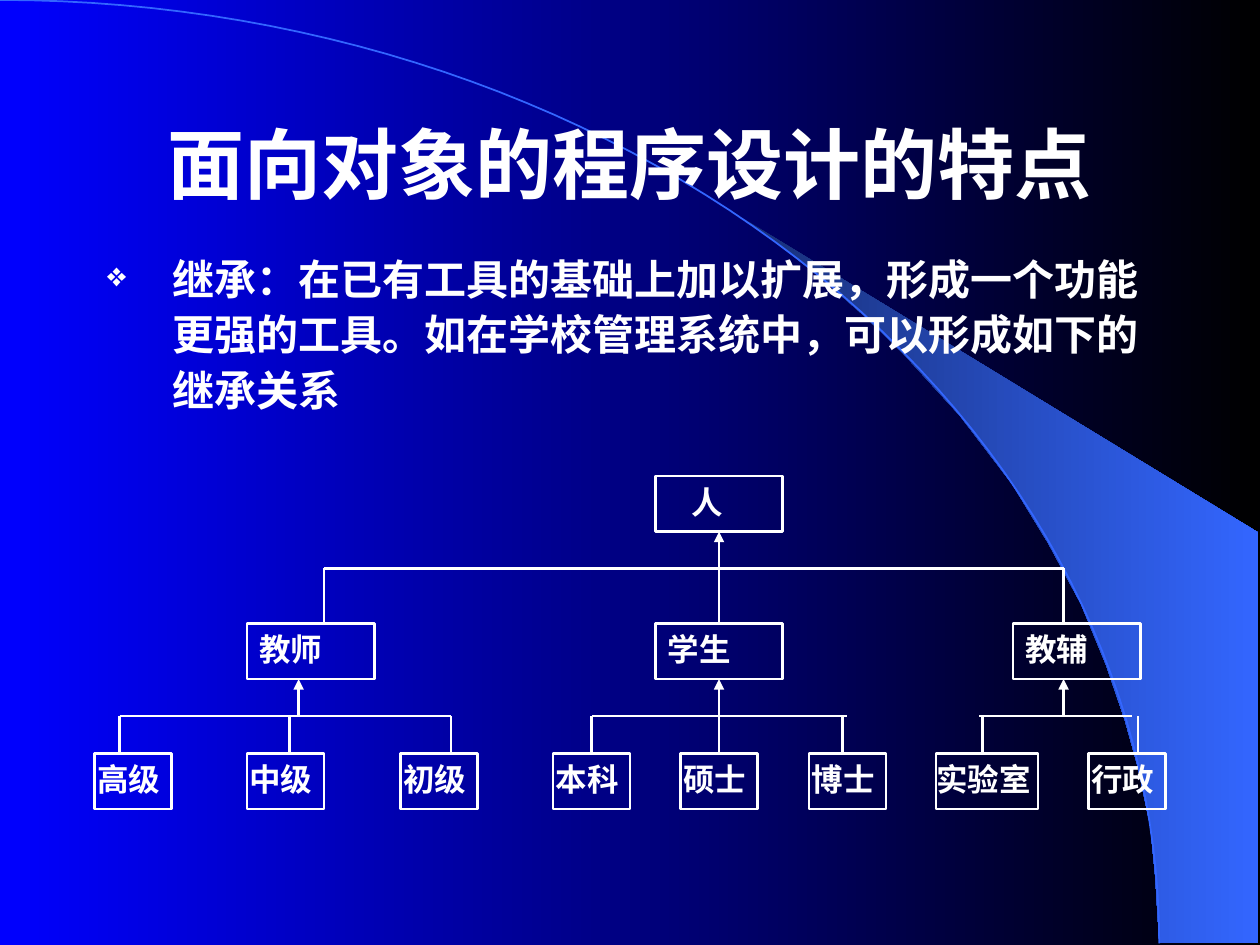
import math

import lxml.etree
import pptx
import pptx.dml.color
import pptx.enum.shapes
import pptx.enum.text
import pptx.oxml.ns
import pptx.util

Cm = pptx.util.Cm
Pt = pptx.util.Pt
RGB = pptx.dml.color.RGBColor
ALIGN = pptx.enum.text.PP_ALIGN
ANCHOR = pptx.enum.text.MSO_ANCHOR

WHITE = RGB(0xFF, 0xFF, 0xFF)
BLACK = RGB(0, 0, 0)
BLUE = RGB(0, 0, 0xFF)
SKY = RGB(0x33, 0x66, 0xFF)
NAVY = RGB(0x18, 0x2F, 0x76)

BOX_H = 1.12
WIDE, SLIM = 2.57, 1.55
TOP_Y, MID_Y, LOW_Y = 9.6, 12.57, 15.19
MID_RAIL, LOW_RAIL = 11.46, 14.43
SNAP = 0.06  # a line this near the middle of a side is joined to it

GLOW = [(23.37, 19), (25.37, 19.02), (25.37, 10.74), (14.96, 4.39),
        (15.85, 5.05), (16.59, 5.64), (17.4, 6.35), (18.19, 7.11),
        (19.35, 8.38), (20.4, 9.75), (21.13, 10.95), (21.79, 12.17),
        (22.3, 13.41), (22.68, 14.53), (22.94, 15.47), (23.19, 16.66),
        (23.29, 17.68)]
ARC_W, ARC_H, STEPS = 23.37, 19.02, 60

# parent name: (rail y, rail ends, arrow x, [(child, left, width, drop x)])
TREE = {
    "人": (MID_RAIL, (6.53, 21.44), 14.5, [
        ("教师", 4.98, WIDE, 6.53),
        ("学生", 13.21, WIDE, 14.55),
        ("教辅", 20.42, WIDE, 21.44)]),
    "教师": (LOW_RAIL, (2.41, 9.09), 6.02, [
        ("高级", 1.91, SLIM, 2.41),
        ("中级", 4.98, SLIM, 5.84),
        ("初级", 8.08, SLIM, 9.09)]),
    "学生": (LOW_RAIL, (11.94, 17.07), 14.45, [
        ("本科", 11.15, SLIM, 11.89),
        ("硕士", 13.72, SLIM, 14.5),
        ("博士", 16.31, SLIM, 16.99)]),
    "教辅": (LOW_RAIL, (19.74, 22.81), 21.44, [
        ("实验室", 18.87, 2.06, 19.81),
        ("行政", 21.95, SLIM, 22.94)]),
}


def add_tag(parent, name, **attrs):
    tag = lxml.etree.SubElement(parent, pptx.oxml.ns.qn(name))
    for key, value in attrs.items():
        tag.set(key, str(value))
    return tag


def blend(fill, start, end):
    """Fill from left to right with two colours."""
    fill.gradient()
    fill.gradient_angle = 0
    for stop, color in zip(fill.gradient_stops, (start, end)):
        stop.color.rgb = color


def write(frame, text, size=18, font="Times New Roman", align=ALIGN.JUSTIFY,
          anchor=ANCHOR.TOP, pad=0.25, left=0, first=0, lead=None,
          before=None, bullet=None):
    """Put one bold white paragraph in a text frame; lengths are in cm."""
    frame.word_wrap = True
    frame.vertical_anchor = anchor
    frame.margin_left = frame.margin_right = Cm(pad)
    frame.margin_top = frame.margin_bottom = Cm(0.13)
    para = frame.paragraphs[0]
    para.alignment = align
    if lead:
        para.line_spacing = lead
    if before:
        para.space_before = Pt(before)
    props = para._p.get_or_add_pPr()
    props.set("marL", str(Cm(left)))
    props.set("indent", str(Cm(first)))
    if bullet:
        add_tag(add_tag(props, "a:buClr"), "a:srgbClr", val=WHITE)
        add_tag(props, "a:buSzPct", val=80000)
        add_tag(props, "a:buChar", char=bullet)
    run = para.add_run()
    run.text = text
    run.font.size = Pt(size)
    run.font.name = font
    run.font.bold = True
    run.font.color.rgb = WHITE


class Deck:
    def __init__(self):
        self.prs = pptx.Presentation()
        self.prs.slide_width = Cm(25.4)
        self.prs.slide_height = Cm(19.05)
        self.slide = self.prs.slides.add_slide(self.prs.slide_layouts[6])
        self.shapes = self.slide.shapes
        self.color = WHITE
        self.weight = Pt(1.5)

    def ground(self, start, end):
        blend(self.slide.background.fill, start, end)

    def path_of(self, points, close):
        (x, y), *rest = [(Cm(a), Cm(b)) for a, b in points]
        pen = self.shapes.build_freeform(x, y)
        pen.add_line_segments(rest, close=close)
        shape = pen.convert_to_shape()
        shape.shadow.inherit = False
        return shape

    def area(self, points, start, end):
        shape = self.path_of(points, True)
        blend(shape.fill, start, end)
        shape.line.fill.background()

    def curve(self, points, color):
        shape = self.path_of(points, False)
        shape.fill.background()
        shape.line.color.rgb = color
        shape.line.width = Pt(1)

    def label(self, x, y, w, h, text, **style):
        box = self.shapes.add_textbox(Cm(x), Cm(y), Cm(w), Cm(h))
        write(box.text_frame, text, **style)

    def box(self, x, y, w, text, **style):
        kind = pptx.enum.shapes.MSO_SHAPE.RECTANGLE
        shape = self.shapes.add_shape(kind, Cm(x), Cm(y), Cm(w), Cm(BOX_H))
        shape.shadow.inherit = False
        shape.fill.background()
        shape.line.color.rgb = self.color
        shape.line.width = self.weight
        write(shape.text_frame, text, **style)
        return shape

    def line(self, x1, y1, x2, y2, arrow=False):
        kind = pptx.enum.shapes.MSO_CONNECTOR.STRAIGHT
        link = self.shapes.add_connector(kind, Cm(x1), Cm(y1), Cm(x2), Cm(y2))
        link.line.color.rgb = self.color
        link.line.width = self.weight
        if arrow:
            add_tag(link.line._get_or_add_ln(), "a:tailEnd", type="triangle")
        add_tag(link._element.spPr, "a:effectLst")
        return link

    def stem(self, x, rail, box, side, arrow=False):
        """Run upright from a rail to the top (0) or bottom (2) of a box."""
        mid = (box.left + box.width / 2) / Cm(1)
        near = abs(mid - x) <= SNAP
        x = mid if near else x
        edge = (box.top + (box.height if side == 2 else 0)) / Cm(1)
        link = self.line(x, rail, x, edge, arrow)
        if near:
            link.end_connect(box, side)


def main():
    deck = Deck()
    deck.ground(BLUE, BLACK)
    deck.area(GLOW, NAVY, SKY)
    turns = [math.pi / 2 * i / STEPS for i in range(STEPS + 1)]
    deck.curve([(ARC_W * math.sin(t), ARC_H * (1 - math.cos(t)))
                for t in turns], SKY)

    deck.label(1.91, 1.7, 21.59, 3.18, "面向对象的程序设计的特点", size=44,
               font="Arial", align=ALIGN.CENTER, anchor=ANCHOR.MIDDLE)
    deck.label(1.91, 4.88, 21.59, 4.09,
               "继承：在已有工具的基础上加以扩展，形成一个功能更强的工具。"
               "如在学校管理系统中，可以形成如下的继承关系",
               size=24, align=ALIGN.LEFT, left=1.32, first=-1.32,
               lead=1.1, before=6, bullet="❖")

    boxes = {"人": deck.box(13.21, TOP_Y, WIDE, "人", left=0.48)}
    for rail, _, _, kids in TREE.values():
        y = MID_Y if rail == MID_RAIL else LOW_Y
        for name, x, w, _ in kids:
            pad = {WIDE: 0.25, SLIM: 0.05}.get(w, 0)
            boxes[name] = deck.box(x, y, w, name, pad=pad)

    for name, (rail, ends, tip, kids) in TREE.items():
        deck.line(ends[0], rail, ends[1], rail)
        for kid, _, _, drop in kids:
            deck.stem(drop, rail, boxes[kid], 0)
        deck.stem(tip, rail, boxes[name], 2, arrow=True)
    deck.prs.save("out.pptx")


if __name__ == "__main__":
    main()
